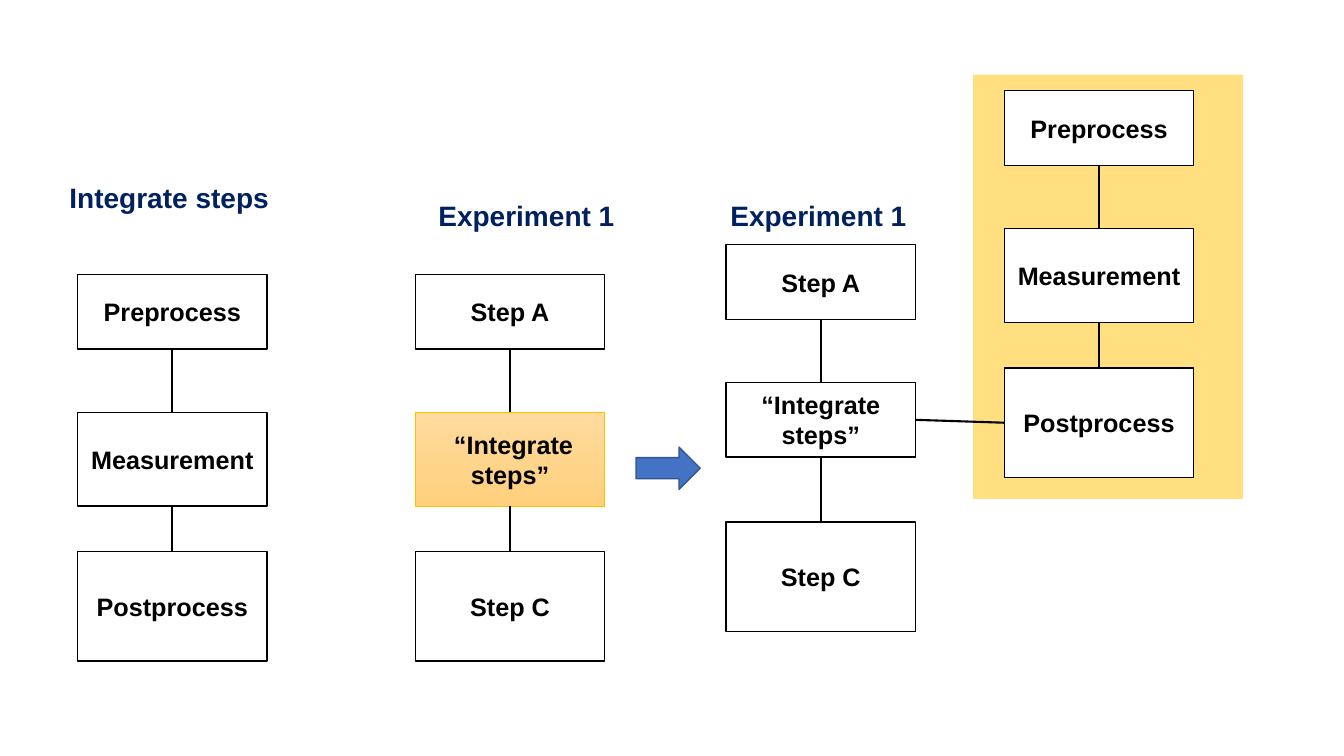
from dataclasses import dataclass
from lxml.etree import SubElement
from pptx import Presentation
from pptx.dml.color import RGBColor
from pptx.enum.shapes import MSO_CONNECTOR, MSO_SHAPE
from pptx.enum.text import MSO_ANCHOR, PP_ALIGN
from pptx.oxml.ns import qn
from pptx.util import Inches, Pt


@dataclass(frozen=True)
class Theme:
    """Colours, type and line sizes of the slide."""
    ink: str = "000000"
    paper: str = "FFFFFF"
    heading: str = "002060"
    panel: str = "FFC000"
    highlight: tuple = ("FFDB9E", "FFD07C")
    arrow: str = "4472C4"
    arrow_edge: str = "325491"
    font: str = "Arial"
    heading_size: int = 20
    step_size: int = 18
    thin: float = 0.5
    edge: float = 1
    link: float = 1.5


class FlowSlide:
    """Draws flow elements on a slide laid out as 40 columns by 30 rows."""

    STEP_WIDTH = 5.64
    STEP_HEIGHTS = (2.96, 3.72, 4.35)
    STEP_OFFSETS = (0, 5.47, 11)
    LEFT, RIGHT, TOP, BOTTOM = 1, 3, 0, 2

    def __init__(self, deck, theme):
        self.theme = theme
        self.column = deck.slide_width / 40
        self.row = deck.slide_height / 30
        self.shapes = deck.slides.add_slide(deck.slide_layouts[6]).shapes

    def place(self, left, top, width, height):
        return (round(left * self.column), round(top * self.row),
                round(width * self.column), round(height * self.row))

    def label(self, frame, text, size, color, frame_format, align=None):
        para = frame.paragraphs[0]
        para.alignment = align
        span = para.add_run()
        span.text = text
        span.font.color.rgb = RGBColor.from_string(color)
        font_format = {"name": self.theme.font, "size": Pt(size), "bold": True}
        for target, values in ((frame, frame_format), (span.font, font_format)):
            for name, value in values.items():
                setattr(target, name, value)

    def block(self, kind, area, fill, edge=None, weight=1):
        box = self.shapes.add_shape(kind, *self.place(*area))
        box.shadow.inherit = False
        if isinstance(fill, tuple):
            box.fill.gradient()
            box.fill.gradient_angle = 270
            for stop, color in zip(box.fill.gradient_stops, fill):
                stop.color.rgb = RGBColor.from_string(color)
        else:
            box.fill.solid()
            box.fill.fore_color.rgb = RGBColor.from_string(fill)
        if edge:
            box.line.color.rgb = RGBColor.from_string(edge)
            box.line.width = Pt(weight)
        else:
            box.line.fill.background()
        return box

    def panel(self, *area):
        box = self.block(MSO_SHAPE.RECTANGLE, area, self.theme.panel)
        color = next(box._element.spPr.iter(qn("a:srgbClr")))
        SubElement(color, qn("a:alpha"), val="50000")

    def arrow(self, *area):
        self.block(MSO_SHAPE.RIGHT_ARROW, area, self.theme.arrow,
                   self.theme.arrow_edge, self.theme.edge)

    def heading(self, text, left, top, width):
        box = self.shapes.add_textbox(*self.place(left, top, width, 1.76))
        self.label(box.text_frame, text, self.theme.heading_size,
                   self.theme.heading, {"word_wrap": False})

    def step(self, text, area, highlighted=False):
        theme = self.theme
        look = ((theme.highlight, theme.panel, theme.thin) if highlighted
                else (theme.paper, theme.ink, theme.edge))
        box = self.block(MSO_SHAPE.RECTANGLE, area, *look)
        self.label(box.text_frame, text, theme.step_size, theme.ink,
                   {"word_wrap": True, "vertical_anchor": MSO_ANCHOR.MIDDLE},
                   PP_ALIGN.CENTER)
        return box

    def link(self, start, start_site, end, end_site):
        line = self.shapes.add_connector(MSO_CONNECTOR.STRAIGHT, 0, 0, 0, 0)
        line.begin_connect(start, start_site)
        line.end_connect(end, end_site)
        line.line.color.rgb = RGBColor.from_string(self.theme.ink)
        line.line.width = Pt(self.theme.link)
        SubElement(line._element.spPr, qn("a:effectLst"))

    def chain(self, labels, left, top, heights=STEP_HEIGHTS, highlighted=None):
        boxes = [
            self.step(label, (left, top + offset, self.STEP_WIDTH, height),
                      index == highlighted)
            for index, (label, offset, height)
            in enumerate(zip(labels, self.STEP_OFFSETS, heights))
        ]
        for upper, lower in zip(boxes, boxes[1:]):
            self.link(upper, self.BOTTOM, lower, self.TOP)
        return boxes


deck = Presentation()
deck.slide_width, deck.slide_height = Inches(13.33), Inches(7.5)
flow = FlowSlide(deck, Theme())

sub_steps = ("Preprocess", "Measurement", "Postprocess")
flow.panel(28.96, 2.96, 8.04, 16.84)
flow.chain(sub_steps, 2.31, 10.89)
flow.chain(("Step A", " “Integrate steps”", "Step C"), 12.36, 10.89, highlighted=1)
flow.arrow(18.93, 17.74, 1.91, 1.68)
experiment = flow.chain(("Step A", "“Integrate steps”", "Step C"), 21.61, 9.71,
                        heights=(2.96, 2.96, 4.35))
expanded = flow.chain(sub_steps, 29.89, 3.6)
flow.link(expanded[2], flow.LEFT, experiment[1], flow.RIGHT)

for text, left, top, width in (("Integrate steps", 1.77, 6.96, 6.6),
                               ("Experiment 1", 12.75, 7.68, 5.88),
                               ("Experiment 1", 21.44, 7.68, 5.88)):
    flow.heading(text, left, top, width)

deck.save("out.pptx")
